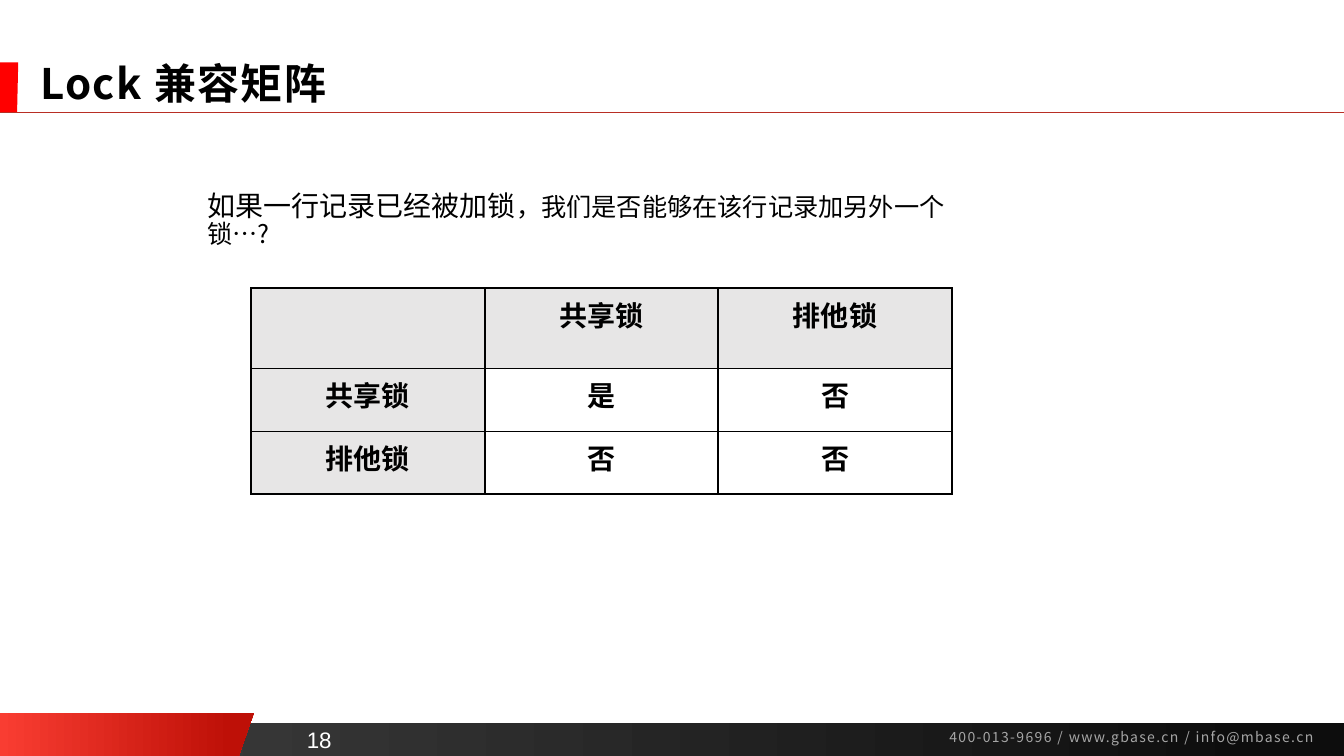
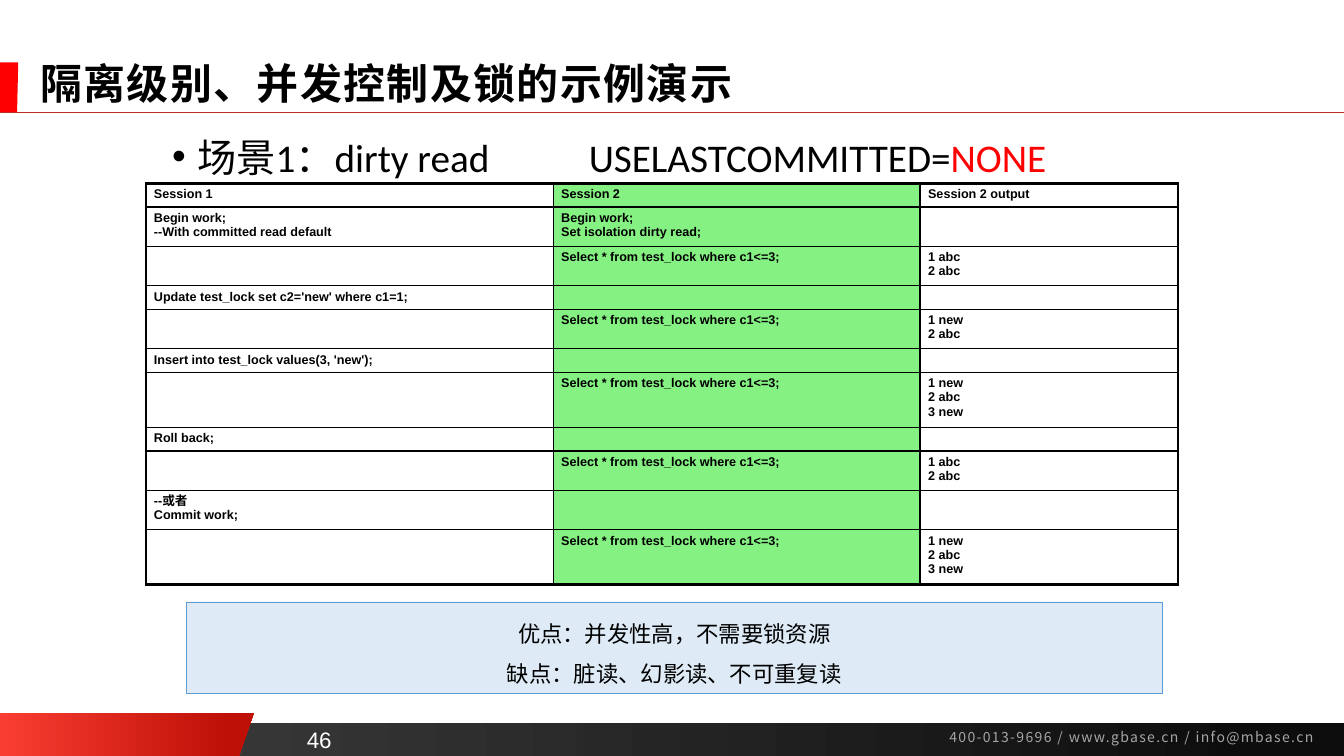
from lxml import etree
from pptx import Presentation
from pptx.dml.color import RGBColor
from pptx.enum.shapes import MSO_CONNECTOR, MSO_SHAPE
from pptx.enum.text import MSO_ANCHOR, PP_ALIGN
from pptx.oxml.ns import qn
from pptx.util import Pt

RECT, LINE = MSO_SHAPE.RECTANGLE, MSO_CONNECTOR.STRAIGHT
TOP, MIDDLE, BOTTOM = MSO_ANCHOR.TOP, MSO_ANCHOR.MIDDLE, MSO_ANCHOR.BOTTOM
LEFT, CENTER = PP_ALIGN.LEFT, PP_ALIGN.CENTER

BLACK = RGBColor(0x00, 0x00, 0x00)
WHITE = RGBColor(0xFF, 0xFF, 0xFF)
RED = RGBColor(0xFF, 0x00, 0x00)
RULE = RGBColor(0xB8, 0x2E, 0x24)
SILVER = RGBColor(0xA6, 0xA6, 0xA6)
GREY = RGBColor(0xE7, 0xE6, 0xE6)
GREEN = RGBColor(0x86, 0xF1, 0x83)
PALE = RGBColor(0xDE, 0xEB, 0xF7)
BLUE = RGBColor(0x5B, 0x9B, 0xD5)
BAND = RGBColor(0x40, 0x40, 0x40), RGBColor(0x0D, 0x0D, 0x0D)
FLAG = RGBColor(0xF9, 0x3D, 0x32), RGBColor(0xBE, 0x10, 0x07)

NOTO, ARIAL, CALIBRI = "Noto Sans CJK SC", "Arial", "Calibri"
WIDE, HIGH = 960, 540


def write(para, text, size, face=NOTO, color=BLACK, bold=False, gap=0):
    """Add one run; gap is the letter spacing in points."""
    run = para.add_run()
    run.text = text
    font = run.font
    font.size, font.name, font.bold = Pt(size), face, bold
    font.color.rgb = color
    props = run._r.get_or_add_rPr()
    etree.SubElement(props, qn("a:ea")).set("typeface", face)
    if gap:
        props.set("spc", str(gap * 100))


def add_text(slide, left, top, width, height, anchor=TOP, align=LEFT, pad=3.6):
    """Add a wrapping text box and return its first paragraph."""
    box = slide.shapes.add_textbox(Pt(left), Pt(top), Pt(width), Pt(height))
    frame = box.text_frame
    frame.word_wrap = True
    frame.vertical_anchor = anchor
    frame.margin_top = frame.margin_bottom = Pt(pad)
    para = frame.paragraphs[0]
    para.alignment = align
    return para


deck = Presentation()
deck.slide_width, deck.slide_height = Pt(WIDE), Pt(HIGH)
blank = deck.slide_layouts[6]

# Shared frame: footer band, red flag, title mark, rule, title and number
pages = []
for title, number in (("Lock 兼容矩阵", "18"),
                      ("隔离级别、并发控制及锁的示例演示", "46")):
    slide = deck.slides.add_slide(blank)
    pages.append(slide)
    shapes = slide.shapes

    band = shapes.add_shape(RECT, Pt(0), Pt(516.2), Pt(WIDE), Pt(23.8))
    parts = []
    for top, low, right, foot in ((509, HIGH, 181.4, 170.6),
                                  (44.6, 80.6, 13, 12.2)):
        path = shapes.build_freeform(Pt(0), Pt(top))
        path.add_line_segments(
            [(Pt(right), Pt(top)), (Pt(foot), Pt(low)), (Pt(0), Pt(low))])
        parts.append(path.convert_to_shape())
    flag, mark = parts
    for part in (band, flag, mark):
        part.shadow.inherit = False
        part.line.fill.background()
    mark.fill.solid()
    mark.fill.fore_color.rgb = RED
    for part, tones, end in ((band, BAND, 0.94), (flag, FLAG, 0.91)):
        part.fill.gradient()
        part.fill.gradient_angle = 0
        for stop, tone, place in zip(part.fill.gradient_stops, tones, (0, end)):
            stop.color.rgb = tone
            stop.position = place

    rule = shapes.add_connector(LINE, Pt(0), Pt(80), Pt(WIDE), Pt(80))
    rule.line.color.rgb = RULE
    rule.line.width = Pt(0.5)
    etree.SubElement(rule._element.spPr, qn("a:effectLst"))

    head = add_text(slide, 21.6, 42.5, 882.7, 38.2, MIDDLE, pad=0)
    head.line_spacing = 0.9
    write(head, title, 30, bold=True, gap=1)
    write(add_text(slide, 671, 517, 287.3, 19.4),
          "400-013-9696 / www.gbase.cn / info@mbase.cn", 10,
          color=SILVER, gap=1)
    write(add_text(slide, 208, 514.8, 40, 26.6, BOTTOM, CENTER),
          number, 16, ARIAL, WHITE)

matrix, demo = pages

# Lead text of each slide
ask = add_text(matrix, 141.1, 134.5, 550, 56)
ask.line_spacing = 0.87
write(ask, "如果一行记录已经被加锁", 20)
write(ask, "，我们是否能够在该行记录加另外一个锁…?", 18)

case = add_text(demo, 115.9, 98, 800, 36)
case.line_spacing = 0.8
props = case._p.get_or_add_pPr()
props.set("marL", str(Pt(18)))
props.set("indent", str(-Pt(18)))
etree.SubElement(props, qn("a:buFont")).set("typeface", ARIAL)
etree.SubElement(props, qn("a:buChar")).set("char", "•")
tabs = etree.SubElement(props, qn("a:tabLst"))
tab = etree.SubElement(tabs, qn("a:tab"))
tab.set("pos", str(Pt(297.6)))
tab.set("algn", "l")
write(case, "场景1：dirty read\tUSELASTCOMMITTED=", 28, CALIBRI)
write(case, "NONE", 28, CALIBRI, RED)

# Tables
locks = (("", "共享锁", "排他锁"),
         ("共享锁", "是", "否"),
         ("排他锁", "否", "否"))
query = "Select * from test_lock where c1<=3;"
steps = (("Session 1", "Session 2", "Session 2 output"),
         ("Begin work;\n--With committed read default",
          "Begin work;\nSet isolation dirty read;", ""),
         ("", query, "1 abc\n2 abc"),
         ("Update test_lock set c2='new' where c1=1;", "", ""),
         ("", query, "1 new\n2 abc"),
         ("Insert into test_lock values(3, 'new');", "", ""),
         ("", query, "1 new\n2 abc\n3 new"),
         ("Roll back;", "", ""),
         ("", query, "1 abc\n2 abc"),
         ("--或者\nCommit work;", "", ""),
         ("", query, "1 new\n2 abc\n3 new"))
lock_fills = [[GREY] * 3] + [[GREY, WHITE, WHITE]] * 2
step_fills = [[WHITE, GREEN, WHITE]] * len(steps)
step_highs = [5.7 + 11.2 * max(text.count("\n") + 1 for text in row)
              for row in steps]

for (slide, left, top, wides, highs, rows, fills,
     size, face, align, side, pad, outer, inner) in (
        (matrix, 179.3, 206, [166.9] * 3, [57.2, 45, 45], locks, lock_fills,
         20, NOTO, CENTER, 7.2, 3.6, 1.5, 1.5),
        (demo, 104.2, 131, [290.9, 262.1, 184.3], step_highs, steps,
         step_fills, 9, ARIAL, LEFT, 5.76, 2.88, 2.25, 1)):
    grid = slide.shapes.add_table(
        len(rows), len(wides), Pt(left), Pt(top),
        Pt(sum(wides)), Pt(sum(highs))).table
    grid.first_row = grid.horz_banding = False
    for col, wide in zip(grid.columns, wides):
        col.width = Pt(wide)
    for r, row in enumerate(rows):
        grid.rows[r].height = Pt(highs[r])
        for c, text in enumerate(row):
            cell = grid.cell(r, c)
            cell.margin_left = cell.margin_right = Pt(side)
            cell.margin_top = cell.margin_bottom = Pt(pad)
            frame = cell.text_frame
            for i, line in enumerate(text.split("\n")):
                para = frame.add_paragraph() if i else frame.paragraphs[0]
                para.alignment = align
                if line:
                    write(para, line, size, face, bold=True)
                else:
                    last = etree.SubElement(para._p, qn("a:endParaRPr"))
                    last.set("sz", str(size * 100))
            props = cell._tc.get_or_add_tcPr()
            for name, edge in (("lnL", c == 0), ("lnR", c == len(row) - 1),
                               ("lnT", r == 0), ("lnB", r == len(rows) - 1)):
                line = etree.SubElement(props, qn("a:" + name))
                line.set("w", str(Pt(outer if edge else inner)))
                paint = etree.SubElement(line, qn("a:solidFill"))
                etree.SubElement(paint, qn("a:srgbClr")).set("val", str(BLACK))
            cell.fill.solid()
            cell.fill.fore_color.rgb = fills[r][c]

# Summary box
note = demo.shapes.add_shape(RECT, Pt(133.2), Pt(429.8), Pt(697), Pt(65.5))
note.shadow.inherit = False
note.fill.solid()
note.fill.fore_color.rgb = PALE
note.line.color.rgb = BLUE
note.line.width = Pt(0.25)
frame = note.text_frame
frame.word_wrap = True
frame.vertical_anchor = TOP
for i, text in enumerate(("优点：并发性高，不需要锁资源", "缺点：脏读、幻影读、不可重复读")):
    para = frame.add_paragraph() if i else frame.paragraphs[0]
    para.alignment = CENTER
    para.line_spacing = 1.5
    write(para, text, 16, ARIAL)

deck.save("out.pptx")
